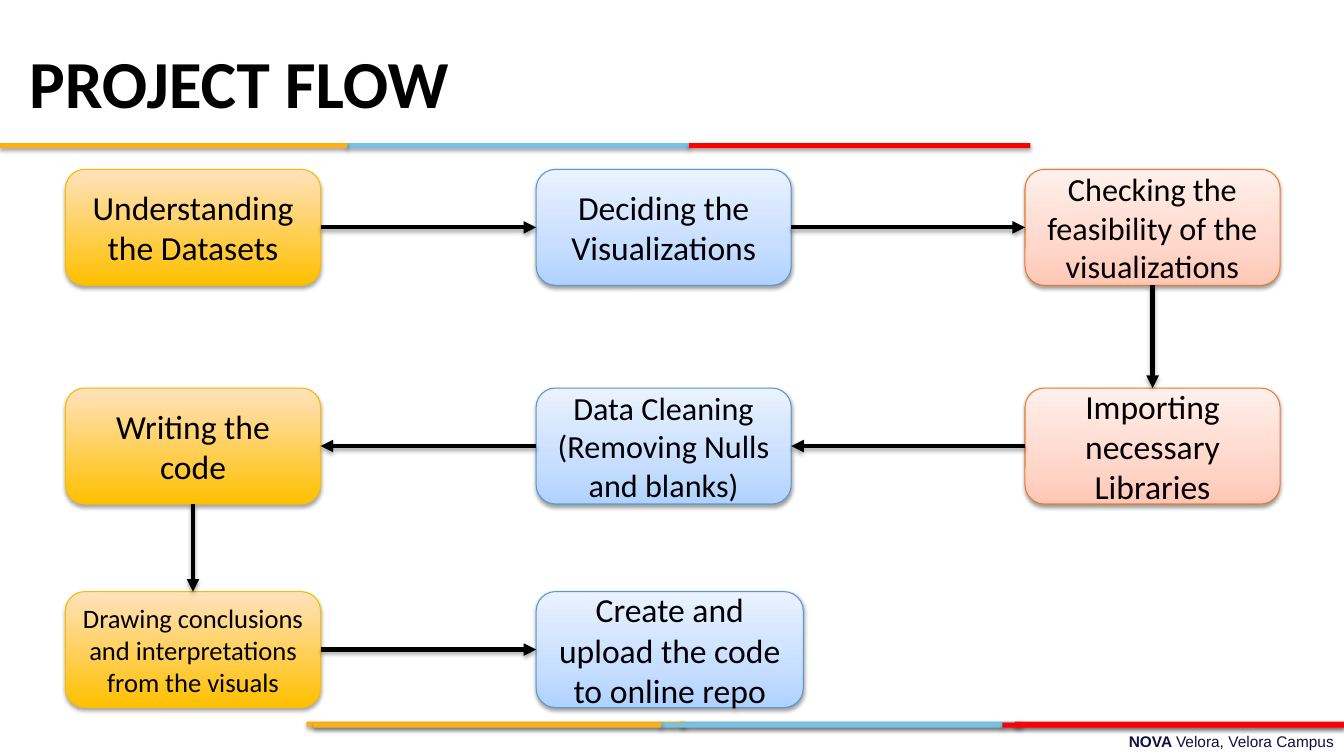
from copy import deepcopy

from lxml import etree
from pptx import Presentation
from pptx import util as u
from pptx.dml.color import RGBColor
from pptx.enum import shapes, text
from pptx.oxml.ns import qn

COLORS = {
    "black": "000000", "navy": "101141",
    "amber": "FCB017", "sky": "76C2E5", "red": "FF0000", "crimson": "E31C24",
}
BOX_STYLES = {
    "gold": ("F9BC00", [(0, "FFC000"), (1, "FFE2BD")]),
    "blue": ("5698D3", [(0, "B0D2FF"), (0.35, "C7DEFF"), (1, "EAF2FF")]),
    "coral": ("EC792B", [(0, "FFC7B6"), (0.35, "FFD7CB"), (1, "FFF0EB")]),
}


def write(tf, content, size, font="Calibri", color="black", align=text.PP_ALIGN.CENTER,
          anchor=text.MSO_ANCHOR.MIDDLE, bold_part=""):
    tf.word_wrap = True
    tf.vertical_anchor = anchor
    for i, line in enumerate(content.split("\n")):
        p = tf.paragraphs[0] if i == 0 else tf.add_paragraph()
        p.alignment = align
        for part, bold in ((bold_part, True), (line.removeprefix(bold_part), False)):
            if part:
                r = p.add_run()
                r.text = part
                r.font.size = u.Pt(size)
                r.font.name = font
                r.font.bold = bold
                r.font.color.rgb = RGBColor.from_string(COLORS[color])


def add_shadow(sp, alpha=35, dist=1.8):
    spPr = sp._element.spPr
    effects = spPr.find(qn("a:effectLst"))
    if effects is None:
        effects = etree.SubElement(spPr, qn("a:effectLst"))
    outer = etree.SubElement(effects, qn("a:outerShdw"), blurRad=str(u.Pt(3.1)),
                             dist=str(u.Pt(dist)), dir="5400000", rotWithShape="0")
    clr = etree.SubElement(outer, qn("a:srgbClr"), val=COLORS["black"])
    etree.SubElement(clr, qn("a:alpha"), val=str(alpha * 1000))


prs = Presentation()
prs.slide_width, prs.slide_height = u.Pt(960), u.Pt(540)
s = prs.slides.add_slide(prs.slide_layouts[6])

footer = s.shapes.add_textbox(u.Pt(344.2), u.Pt(519.1), u.Pt(615.8), u.Pt(20.2))
write(footer.text_frame, "NOVA Velora, Velora Campus", 11, font="Arial", color="navy",
      align=text.PP_ALIGN.RIGHT, anchor=text.MSO_ANCHOR.TOP, bold_part="NOVA ")

bars = [
    (486, 515.5, 244, "sky"), (725, 515.5, 235, "crimson"), (218.9, 515.5, 270.7, "amber"),
    (472.2, 516.2, 244, "sky"), (224, 516.2, 248.2, "amber"), (716, 516.2, 244, "red"),
    (248, 102.2, 244, "sky"), (0, 102.2, 248, "amber"), (492, 102.2, 244, "red"),
]
for x, y, w, color in bars:
    sp = s.shapes.add_shape(shapes.MSO_SHAPE.RECTANGLE, u.Pt(x), u.Pt(y), u.Pt(w), u.Pt(3.6))
    sp.shadow.inherit = False
    sp.fill.solid()
    sp.fill.fore_color.rgb = RGBColor.from_string(COLORS[color])
    sp.line.fill.background()
    add_shadow(sp)

COLUMNS = [(46.8, "gold"), (383, "blue"), (732.2, "coral")]
ROWS = [121, 277.2, 422.6]
BOX_W, BOX_H = 182.2, 82.8
steps = [
    (0, 0, "Understanding the Datasets", 24, BOX_W),
    (1, 0, "Deciding the Visualizations", 24, BOX_W),
    (2, 0, "Checking the feasibility of the visualizations", 23, BOX_W),
    (2, 1, "Importing necessary Libraries", 24, BOX_W),
    (1, 1, "Data Cleaning\n(Removing Nulls and blanks)", 23, BOX_W),
    (0, 1, "Writing the code", 24, BOX_W),
    (0, 2, "Drawing conclusions and interpretations from the visuals", 19, BOX_W),
    (1, 2, "Create and upload the code to online repo", 24, 190.8),
]
boxes = []
for col, row, label, size, w in steps:
    x, style = COLUMNS[col]
    outline, stops = BOX_STYLES[style]
    sp = s.shapes.add_shape(shapes.MSO_SHAPE.ROUNDED_RECTANGLE,
                            u.Pt(x), u.Pt(ROWS[row]), u.Pt(w), u.Pt(BOX_H))
    sp.shadow.inherit = False
    sp.fill.gradient()
    sp.fill.gradient_angle = 90
    gs_list = sp._element.spPr.find(".//" + qn("a:gsLst"))
    if len(stops) == 3:
        gs_list.insert(1, deepcopy(gs_list[0]))
    for stop, (position, color) in zip(sp.fill.gradient_stops, stops):
        stop.position = position
        stop.color.rgb = RGBColor.from_string(color)
    sp.line.color.rgb = RGBColor.from_string(outline)
    sp.line.width = u.Pt(0.75)
    if style == "gold":
        add_shadow(sp)
    else:
        add_shadow(sp, alpha=38, dist=1.6)
    write(sp.text_frame, label, size)
    boxes.append(sp)

TOP, LEFT, BOTTOM, RIGHT = range(4)
for i in range(len(steps) - 1):
    (col, row), (next_col, next_row) = steps[i][:2], steps[i + 1][:2]
    if next_row > row:
        start, end = BOTTOM, TOP
    elif next_col > col:
        start, end = RIGHT, LEFT
    else:
        start, end = LEFT, RIGHT
    arrow = s.shapes.add_connector(shapes.MSO_CONNECTOR.STRAIGHT, 0, 0, 0, 0)
    arrow.begin_connect(boxes[i], start)
    arrow.end_connect(boxes[i + 1], end)
    arrow.line.color.rgb = RGBColor.from_string(COLORS["black"])
    arrow.line.width = u.Pt(3)
    etree.SubElement(arrow.line._get_or_add_ln(), qn("a:tailEnd"), type="triangle")
    add_shadow(arrow)

title = s.shapes.add_textbox(u.Pt(13.7), u.Pt(25.9), u.Pt(516.2), u.Pt(65.5))
write(title.text_frame, "PROJECT FLOW", 48, align=text.PP_ALIGN.LEFT,
      anchor=text.MSO_ANCHOR.TOP, bold_part="PROJECT FLOW")
title.text_frame.auto_size = text.MSO_AUTO_SIZE.SHAPE_TO_FIT_TEXT

prs.save("out.pptx")
